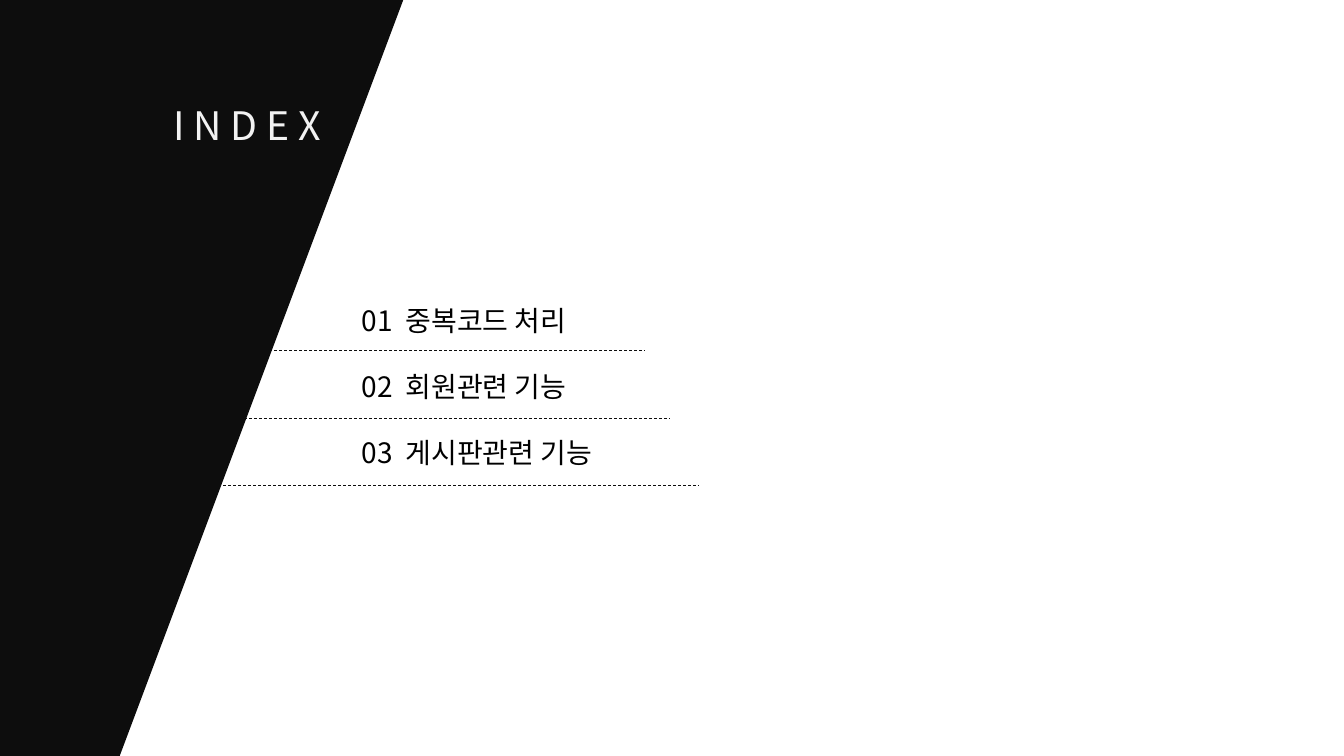
from pptx import Presentation
from pptx import util as u
from pptx.dml.color import RGBColor
from pptx.enum import dml, shapes, text
from pptx.oxml.ns import qn
from lxml import etree

# Content
HEADING = "I N D E X"
# number, topic, text width, rule start, rule end (inches)
ENTRIES = [
    ("01", "중복코드 처리", 2.4, 2.57, 6.39),
    ("02", "회원관련 기능", 2.4, 2.42, 6.65),
    ("03", "게시판관련 기능", 2.68, 1.62, 6.93),
]

# Style and grid
FONT = "Noto Sans CJK KR"
INK = RGBColor(0x0D, 0x0D, 0x0D)
PALE = RGBColor(0xF2, 0xF2, 0xF2)
BLACK = RGBColor(0, 0, 0)
WIDTH, HEIGHT = 13.33, 7.5
PANEL_TOP_WIDTH, PANEL_FOOT_WIDTH = 4.33, 0.84
ENTRY_LEFT, FIRST_ENTRY, ENTRY_STEP = 3.49, 2.96, 0.655
FIRST_RULE, RULE_STEP = 3.48, 0.67
NUMBER_GAP = 450  # extra space after the number, in 1/100 pt

deck = Presentation()
deck.slide_width, deck.slide_height = u.Inches(WIDTH), u.Inches(HEIGHT)
slide = deck.slides.add_slide(deck.slide_layouts[6])


def add_label(left, top, width, height, pieces, size, color):
    """Place one line of text; pieces are (words, extra letter spacing)."""
    label = slide.shapes.add_textbox(*map(u.Inches, (left, top, width, height)))
    frame = label.text_frame
    frame.word_wrap = False
    frame.auto_size = text.MSO_AUTO_SIZE.SHAPE_TO_FIT_TEXT
    for words, spacing in pieces:
        run = frame.paragraphs[0].add_run()
        run.text = words
        run.font.size = u.Pt(size)
        run.font.name = FONT
        run.font.color.rgb = color
        props = run.font._element
        etree.SubElement(props, qn("a:ea")).set("typeface", FONT)
        if spacing:
            props.set("spc", str(spacing))


def add_rule(start, end, y):
    rule = slide.shapes.add_connector(
        shapes.MSO_CONNECTOR.STRAIGHT, *map(u.Inches, (start, y, end, y)))
    rule.line.color.rgb = INK
    rule.line.width = u.Pt(0.5)
    rule.line.dash_style = dml.MSO_LINE.DASH
    etree.SubElement(rule._element.spPr, qn("a:effectLst"))


# Slanted dark panel
outline = slide.shapes.build_freeform(0, 0, scale=u.Inches(1))
outline.add_line_segments(
    [(PANEL_TOP_WIDTH, 0), (PANEL_FOOT_WIDTH, HEIGHT), (0, HEIGHT)], close=True)
panel = outline.convert_to_shape()
panel.shadow.inherit = False
panel.fill.solid()
panel.fill.fore_color.rgb = INK
panel.line.fill.background()

# Heading
add_label(1.62, 0.96, 1.95, 0.57, [(HEADING, 0)], 28, PALE)

# Entries, each above its dashed rule
for row, (number, topic, width, start, end) in enumerate(ENTRIES):
    add_label(ENTRY_LEFT, FIRST_ENTRY + row * ENTRY_STEP, width, 0.44,
              [(number, 0), (" ", NUMBER_GAP), (topic, 0)], 20, BLACK)
    add_rule(start, end, FIRST_RULE + row * RULE_STEP)

deck.save("out.pptx")
